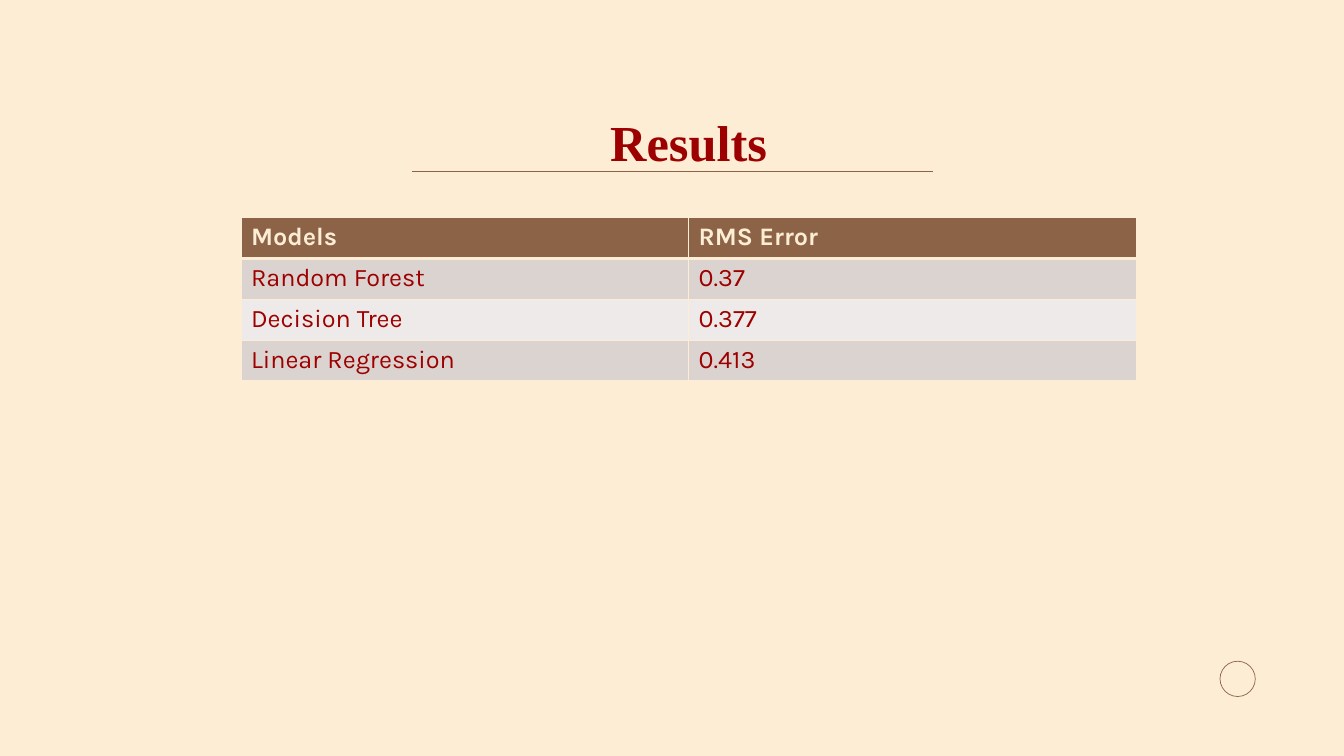
import pptx
import pptx.util
import pptx.dml.color
import pptx.enum.shapes
import pptx.enum.text
import pptx.oxml.ns
from lxml import etree
from pptx.util import Inches

CREAM, BROWN, RED = "FCEDD4", "8D6347", "9D0000"
BANDS = ["DBD3CF", "EEEAE9"]


def color(hex_value):
    return pptx.dml.color.RGBColor.from_string(hex_value)


def add_border(cell, side, points):
    qn = pptx.oxml.ns.qn
    border = etree.SubElement(cell._tc.get_or_add_tcPr(), qn("a:ln" + side), w=str(pptx.util.Pt(points)))
    fill = etree.SubElement(border, qn("a:solidFill"))
    etree.SubElement(fill, qn("a:srgbClr"), val=CREAM)


deck = pptx.Presentation()
deck.slide_width, deck.slide_height = Inches(13.33), Inches(7.5)
slide = deck.slides.add_slide(deck.slide_layouts[6])
slide.background.fill.solid()
slide.background.fill.fore_color.rgb = color(CREAM)

# Page number ring
ring = slide.shapes.add_shape(
    pptx.enum.shapes.MSO_SHAPE.OVAL, Inches(12.1), Inches(6.56), Inches(0.35), Inches(0.35))
ring.shadow.inherit = False
ring.fill.background()
ring.line.color.rgb = color(BROWN)
ring.line.width = pptx.util.Pt(0.5)

# Rule under the title
rule = slide.shapes.add_connector(
    pptx.enum.shapes.MSO_CONNECTOR.STRAIGHT, Inches(4.09), Inches(1.7), Inches(9.25), Inches(1.7))
rule.line.color.rgb = color(BROWN)
rule.line.width = pptx.util.Pt(1)
etree.SubElement(rule._element.spPr, pptx.oxml.ns.qn("a:effectLst"))

# Title
title = slide.shapes.add_textbox(Inches(1.08), Inches(0.99), Inches(11.5), Inches(0.77)).text_frame
title.word_wrap = True
title.vertical_anchor = pptx.enum.text.MSO_ANCHOR.BOTTOM
heading = title.paragraphs[0]
heading.text = "Results"
heading.alignment = pptx.enum.text.PP_ALIGN.CENTER
heading.line_spacing = 0.9
heading.font.name = "Times New Roman"
heading.font.size = pptx.util.Pt(36)
heading.font.bold = True
heading.font.color.rgb = color(RED)

# Table of model errors
results = [
    ("Models", "RMS Error"),
    ("Random Forest", "0.37"),
    ("Decision Tree", "0.377"),
    ("Linear Regression", "0.413"),
]
table = slide.shapes.add_table(
    len(results), 2, Inches(2.39), Inches(2.16), Inches(8.88), Inches(1.62)).table
for row, values in enumerate(results):
    header = row == 0
    for column, value in enumerate(values):
        cell = table.cell(row, column)
        add_border(cell, "L", 1)
        add_border(cell, "R", 1)
        add_border(cell, "T", 3 if row == 1 else 1)
        add_border(cell, "B", 3 if header else 1)
        cell.fill.solid()
        cell.fill.fore_color.rgb = color(BROWN if header else BANDS[(row - 1) % 2])
        cell.text = value
        entry = cell.text_frame.paragraphs[0]
        entry.font.name = "Karla"
        entry.font.size = pptx.util.Pt(18)
        entry.font.bold = header
        entry.font.color.rgb = color(CREAM if header else RED)

deck.save("out.pptx")
